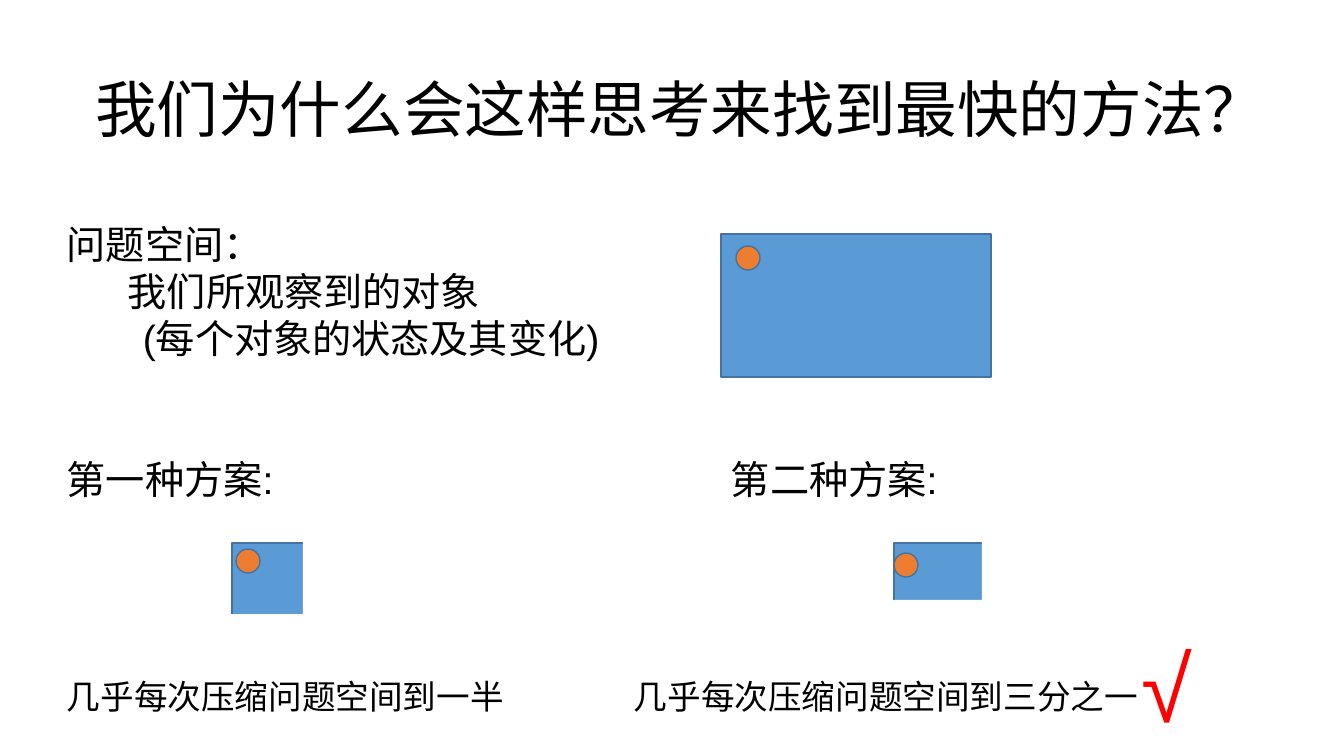
from pptx import Presentation, util as u
from pptx.dml.color import RGBColor
from pptx.enum import shapes, text

PX = 914400 / 100.8
BLUE, EDGE, ORANGE, WHITE = "5B9BD5", "43739E", "ED7D31", "FFFFFF"
SPACE_SIZE = (270, 143)
BALL_SIZE = (24, 24)

TITLE = "我们为什么会这样思考来找到最快的方法？"
TITLE_AT = (85, 40, 1143, 146)

# place, point size, colour, lines as (first-line indent, wording)
PROBLEM_NOTE = ((57, 215, 559, 152), 28, "000000", [
    (0, "问题空间："),
    (61, "我们所观察到的对象"),
    (76, "(每个对象的状态及其变化)"),
])
CONCLUSIONS = [
    ((57, 671, 462, 50), 24, "000000", [(0, "几乎每次压缩问题空间到一半")]),
    ((624, 671, 529, 50), 24, "000000", [(0, "几乎每次压缩问题空间到三分之一")]),
    ((1132, 625, 72, 122), 66, "FF0000", [(0, "√")]),
]
PROBLEM_SPACE = ((721, 234), (736, 246))
# label, label left, space corner, ball corner, white covers that shrink the space
PLANS = [
    ("第一种方案:", 57, (232, 543), (236, 549),
     [(367, 535, 151, 166), (216, 614, 199, 88), (303, 518, 80, 128)]),
    ("第二种方案:", 721, (894, 543), (894, 553),
     [(982, 518, 199, 183), (878, 600, 199, 102)]),
]


def px(length):
    return round(length * PX)


def color(code):
    return RGBColor.from_string(code)


def style(para, font, size, code):
    para.alignment = text.PP_ALIGN.LEFT
    for span in para.runs:
        span.font.name = font
        span.font.size = u.Pt(size)
        span.font.color.rgb = color(code)


def add_text(page, place, size, code, lines):
    box = page.shapes.add_textbox(*map(px, place))
    frame = box.text_frame
    frame.word_wrap = True
    frame.text = "\n".join(wording for _, wording in lines)
    for para, (indent, _) in zip(frame.paragraphs, lines):
        style(para, "Arial", size, code)
        if indent:
            para._p.get_or_add_pPr().set("indent", str(px(indent)))


def add_figure(holder, kind, place, fill, edge=None):
    figure = holder.shapes.add_shape(kind, *map(px, place))
    figure.shadow.inherit = False
    figure.fill.solid()
    figure.fill.fore_color.rgb = color(fill)
    if edge:
        figure.line.color.rgb = color(edge)
        figure.line.width = u.Pt(1)
    else:
        figure.line.fill.background()


def add_space(holder, corner, ball):
    """Draw a problem space with the sought object in it."""
    kind = shapes.MSO_SHAPE
    add_figure(holder, kind.RECTANGLE, corner + SPACE_SIZE, BLUE, EDGE)
    add_figure(holder, kind.OVAL, ball + BALL_SIZE, ORANGE, EDGE)


def add_title(page):
    title = page.shapes.title
    title.left, title.top, title.width, title.height = map(px, TITLE_AT)
    frame = title.text_frame
    frame.text = TITLE
    frame.word_wrap = True
    frame.auto_size = text.MSO_AUTO_SIZE.NONE
    frame.vertical_anchor = text.MSO_ANCHOR.MIDDLE
    para = frame.paragraphs[0]
    para.line_spacing = 0.9
    style(para, "Calibri", 44, "000000")


def main():
    deck = Presentation()
    deck.slide_width, deck.slide_height = px(1344), px(756)
    page = deck.slides.add_slide(deck.slide_layouts[5])
    add_title(page)
    for label, left, corner, ball, covers in PLANS:
        add_space(page.shapes.add_group_shape(), corner, ball)
        for cover in covers:
            add_figure(page, shapes.MSO_SHAPE.RECTANGLE, cover, WHITE)
        add_text(page, (left, 450, 229, 57), 28, "000000", [(0, label)])
    add_text(page, *PROBLEM_NOTE)
    add_space(page, *PROBLEM_SPACE)
    for conclusion in CONCLUSIONS:
        add_text(page, *conclusion)
    deck.save("out.pptx")


if __name__ == "__main__":
    main()
